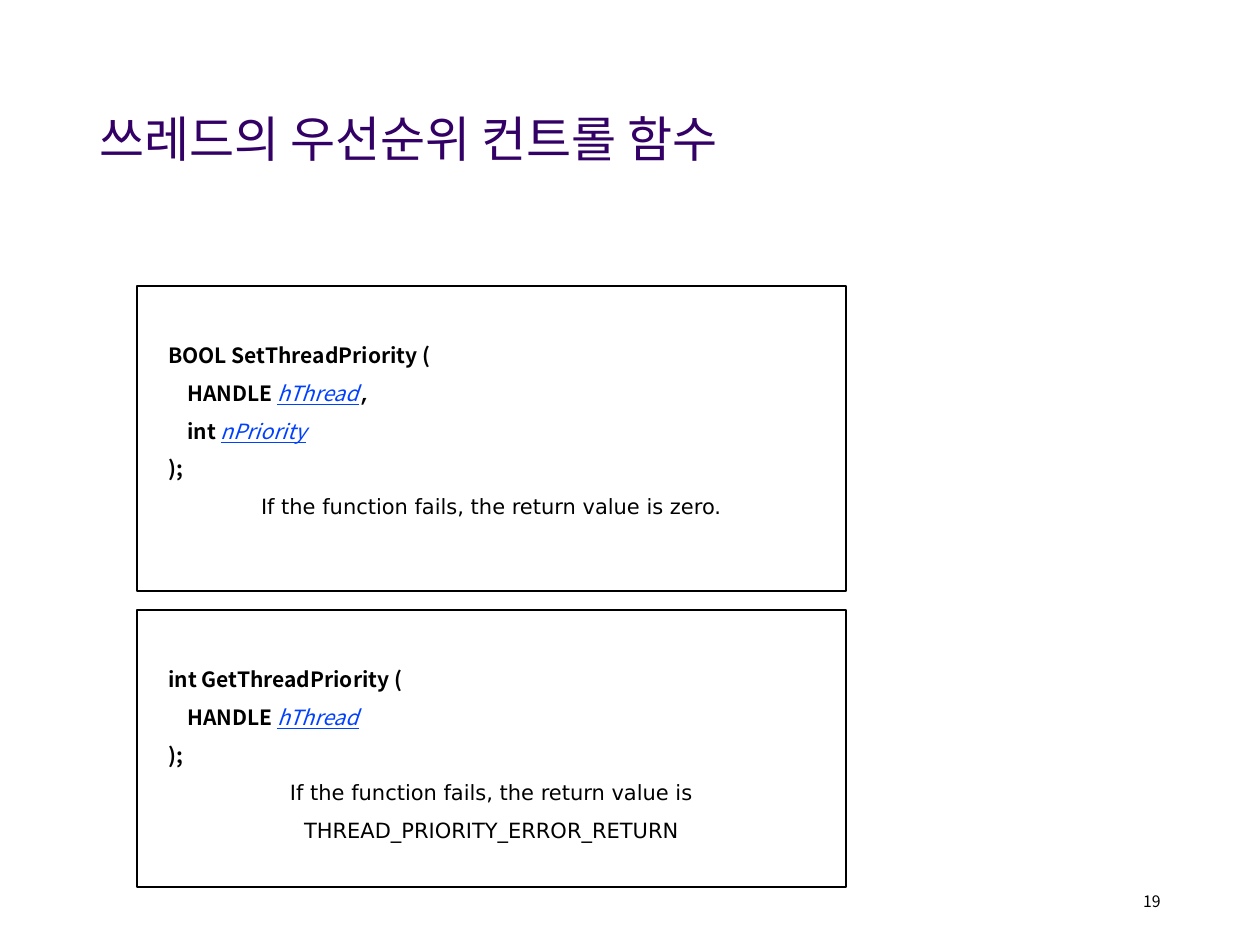
from lxml import etree
from pptx import Presentation, util as u
from pptx.dml.color import RGBColor
from pptx.enum import shapes, text
from pptx.oxml import ns

PX = u.Inches(1) // 126
PURPLE = RGBColor(0x33, 0x00, 0x66)
BLACK = RGBColor(0x00, 0x00, 0x00)
WHITE = RGBColor(0xFF, 0xFF, 0xFF)
BLUE = RGBColor(0x00, 0x40, 0xFF)
SANS = "Noto Sans CJK KR"
PROSE = "DejaVu Sans"
MONO = "Courier New"


def style(font, name, size, color, bold=False):
    font.name, font.size, font.bold = name, u.Pt(size), bold
    font.color.rgb = color


prs = Presentation()
prs.slide_width, prs.slide_height = u.Inches(10), u.Inches(7.5)
slide = prs.slides.add_slide(prs.slide_layouts[5])

title = slide.shapes.title
title.left, title.top, title.width, title.height = [v * PX for v in (87, 50, 1087, 183)]
title.text_frame.vertical_anchor = text.MSO_ANCHOR.MIDDLE
heading = title.text_frame.paragraphs[0]
heading_run = heading.add_run()
heading_run.text = "쓰레드의 우선순위 컨트롤 함수"
heading.alignment = text.PP_ALIGN.LEFT
heading.line_spacing = 0.9
style(heading.font, SANS, 28, PURPLE)
east_asian = etree.SubElement(heading_run.font._element, ns.qn("a:ea"))
east_asian.set("typeface", SANS)

page_number = slide.shapes.add_textbox(*[v * PX for v in (890, 876, 283, 50)]).text_frame
page_number.word_wrap = True
page_number.vertical_anchor = text.MSO_ANCHOR.MIDDLE
number = page_number.paragraphs[0]
number.text = "19"
number.alignment = text.PP_ALIGN.RIGHT
style(number.font, SANS, 9, BLACK)

prototypes = [
    (286, 305,
     [(19, "BOOL SetThreadPriority (", "", ""),
      (38, "HANDLE ", "hThread", ","),
      (38, "int ", "nPriority", ""),
      (19, ");", "", "")],
     "If the function fails, the return value is zero."),
    (610, 277,
     [(19, "int GetThreadPriority (", "", ""),
      (38, "HANDLE ", "hThread", ""),
      (19, ");", "", "")],
     "If the function fails, the return value is THREAD_PRIORITY_ERROR_RETURN"),
]

for top, height, code_lines, failure_note in prototypes:
    box = slide.shapes.add_shape(
        shapes.MSO_SHAPE.RECTANGLE, 137 * PX, top * PX, 709 * PX, height * PX)
    box.shadow.inherit = False
    box.fill.solid()
    box.fill.fore_color.rgb = WHITE
    box.line.color.rgb = BLACK
    box.line.width = u.Pt(0.75)
    frame = box.text_frame
    frame.word_wrap = True
    frame.vertical_anchor = text.MSO_ANCHOR.TOP
    frame.margin_top = 44 * PX

    line = frame.paragraphs[0]
    for indent, code, parameter, comma in code_lines:
        line.alignment = text.PP_ALIGN.LEFT
        line.line_spacing = 1.5
        line._p.get_or_add_pPr().set("marL", str(indent * PX))
        style(line.font, SANS, 12, BLACK, True)
        line.add_run().text = code
        if parameter:
            link = line.add_run()
            link.text = parameter
            style(link.font, SANS, 12, BLUE)
            link.font.italic = link.font.underline = True
        if comma:
            separator = line.add_run()
            separator.text = comma
            separator.font.name = MONO
        line = frame.add_paragraph()

    line.text = failure_note
    line.alignment = text.PP_ALIGN.CENTER
    line.line_spacing = 1.5
    style(line.font, PROSE, 12, BLACK)

prs.save("out.pptx")
